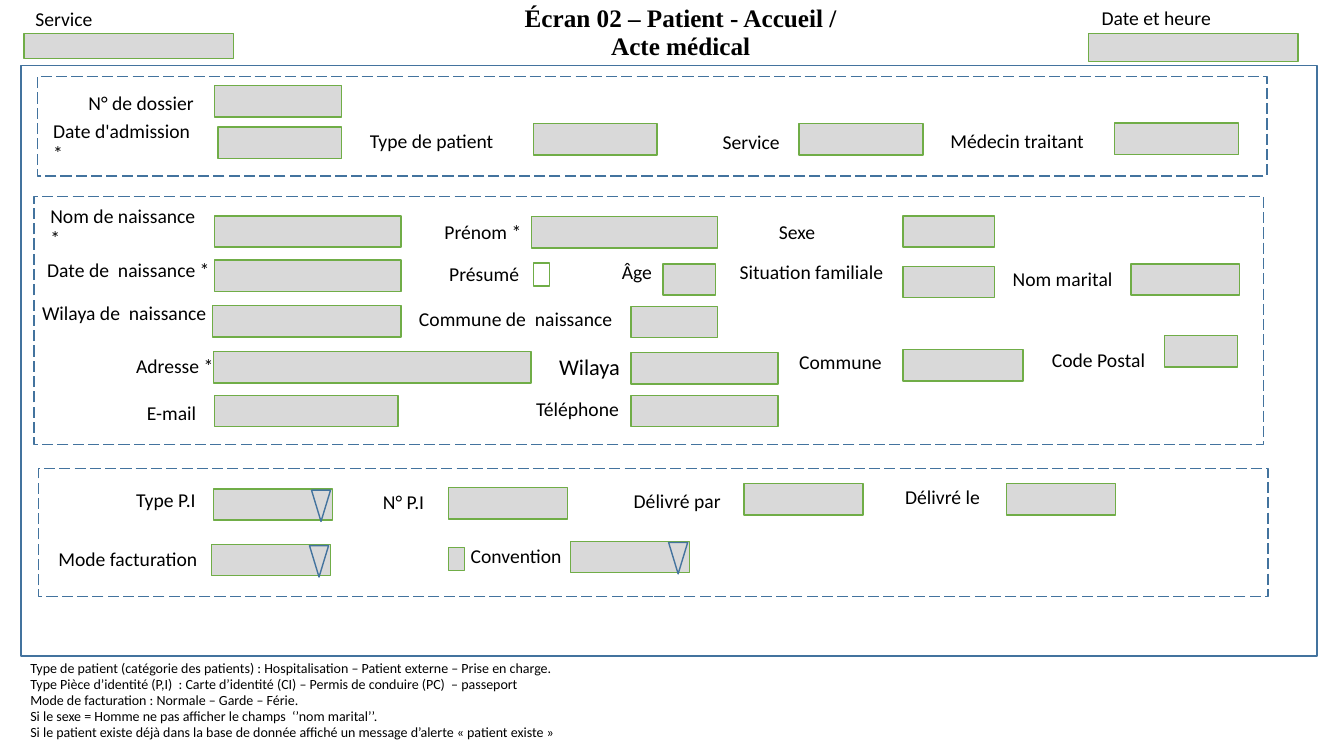
from pptx import Presentation
from pptx.dml.color import RGBColor
from pptx.enum.dml import MSO_LINE
from pptx.enum.shapes import MSO_SHAPE
from pptx.enum.text import MSO_ANCHOR, MSO_AUTO_SIZE, PP_ALIGN
from pptx.oxml.xmlchemy import OxmlElement
from pptx.util import Cm, Pt

COLORS = {"field": "D9D9D9", "field_line": "70AD47", "frame": "43739E", "text": "000000"}
ROW_H = 0.79
LABEL_H = 0.97
CHECK_W, CHECK_H = 0.41, 0.58
ARROW_W = 0.48

ADMISSION = [
    ("N° de dossier", (1.04, 0.2, 3.28), (4.47, 0.23, 3.2)),
    ("Date d'admission *", (0.15, 1.19, 4.29), (4.55, 1.27, 3.12)),
    ("Type de patient", (8.13, 1.17, 4.29), (12.5, 1.19, 3.12)),
    ("Service", (17.02, 1.19, 2.31), (19.2, 1.19, 3.12)),
    ("Médecin traitant", (22.76, 1.17, 4.29), (27.15, 1.17, 3.12)),
]
IDENTITY = [
    ("Nom de naissance *", (0.16, 0.3, 4.5), (4.55, 0.49, 4.7)),
    ("Prénom *", (10.09, 0.43, 2.51), (12.53, 0.51, 4.7)),
    ("Sexe", (18.52, 0.43, 1.63), (21.9, 0.49, 2.31)),
    ("Date de  naissance *", (0.08, 1.4, 4.67), (4.55, 1.6, 4.7)),
    ("Âge", (14.56, 1.45, 1.42), (15.85, 1.7, 1.32)),
    ("Situation familiale", (17.53, 1.45, 4.47), (21.9, 1.76, 2.31)),
    ("Nom marital", (24.41, 1.61, 4.14), (27.64, 1.7, 2.74)),
    ("Wilaya de  naissance", (-0.05, 2.47, 4.95), (4.5, 2.75, 4.75)),
    ("Commune de  naissance", (9.45, 2.62, 5.69), (15.04, 2.77, 2.18)),
    ("Adresse *", (2.32, 3.81, 2.59), (4.52, 3.91, 8)),
    ("Commune", (19.03, 3.71, 3.05), (21.9, 3.86, 3.02)),
    ("Code Postal", (25.4, 3.66, 3), (28.48, 3.51, 1.85)),
    ("E-mail", (2.59, 4.98, 1.88), (4.55, 5.01, 4.62)),
    ("Téléphone", (12.4, 4.9, 2.95), (15.04, 5.01, 3.71)),
]
BILLING = [
    ("Type P.I", (2.21, 0.33, 2.18), (4.41, 0.51, 3)),
    ("N° P.I", (8.43, 0.38, 1.68), (10.33, 0.48, 3)),
    ("Délivré par", (14.75, 0.36, 2.97), (17.78, 0.38, 3)),
    ("Délivré le", (21.59, 0.24, 4.14), (24.4, 0.38, 2.74)),
    ("Mode facturation", (0.25, 1.8, 4.09), (4.36, 1.91, 3)),
    ("Convention", (10.64, 1.73, 2.9), (13.41, 1.83, 3)),
]
DROPDOWNS = ("Type P.I", "Mode facturation", "Convention")
NOTES = [
    "Type de patient (catégorie des patients) : Hospitalisation – Patient externe – Prise en charge.",
    "Type Pièce d’identité (P,I)  : Carte d’identité (CI) – Permis de conduire (PC)  – passeport",
    "Mode de facturation : Normale – Garde – Férie.",
    "Si le sexe = Homme ne pas afficher le champs  ‘’nom marital’’.",
    "Si le patient existe déjà dans la base de donnée affiché un message d’alerte « patient existe »",
]


def within(box, x, y, w, h):
    """Return lengths for a part placed relative to its box."""
    return Cm(box[0] + x), Cm(box[1] + y), Cm(w), Cm(h)


def format_text(tf, size, font="Calibri", bold=False, align=PP_ALIGN.LEFT):
    """Apply font, colour and spacing to all the text of a frame."""
    tf.word_wrap = True
    tf.auto_size = MSO_AUTO_SIZE.NONE
    for p in tf.paragraphs:
        p.alignment = align
        p.line_spacing = 0.95
        p.space_before = Pt(0)
        for r in p.runs:
            r.font.name = font
            r.font.size = Pt(size)
            r.font.bold = bold
            r.font.color.rgb = RGBColor.from_string(COLORS["text"])


def add_outline(slide, place, line, fill=None, shape=MSO_SHAPE.RECTANGLE):
    """Draw a one-point outlined shape, filled if a colour is given."""
    sp = slide.shapes.add_shape(shape, *place)
    sp.shadow.inherit = False
    if fill:
        sp.fill.solid()
        sp.fill.fore_color.rgb = RGBColor.from_string(COLORS[fill])
    else:
        sp.fill.background()
    sp.line.color.rgb = RGBColor.from_string(COLORS[line])
    sp.line.width = Pt(1)
    return sp


def add_label(slide, box, text, x, y, w, size=14):
    """Write a vertically centred field label."""
    tf = slide.shapes.add_textbox(*within(box, x, y, w, LABEL_H)).text_frame
    tf.text = text
    tf.vertical_anchor = MSO_ANCHOR.MIDDLE
    format_text(tf, size)


def add_field(slide, box, x, y, w, h=ROW_H, fill="field"):
    """Draw an input field."""
    add_outline(slide, within(box, x, y, w, h), "field_line", fill)


def add_arrow(slide, box, x, y, w):
    """Draw the drop-down arrow at the right end of a field."""
    place = within(box, x + w - ARROW_W - 0.05, y + 0.03, ARROW_W, ROW_H)
    sp = add_outline(slide, place, "frame", shape=MSO_SHAPE.ISOSCELES_TRIANGLE)
    sp.rotation = 180


def add_group(slide, box, entries):
    """Draw a dashed group with its labelled fields."""
    sp = add_outline(slide, within(box, 0, 0, *box[2:]), "frame")
    sp.line.dash_style = MSO_LINE.LONG_DASH
    for text, label, field in entries:
        add_field(slide, box, *field)
        add_label(slide, box, text, *label)
        if text in DROPDOWNS:
            add_arrow(slide, box, *field)


def add_header(slide, box):
    """Place the title between the service and date fields."""
    title = slide.shapes.title
    title.left, title.top, title.width, title.height = within(box, 11.96, 0.18, 9.17, 1.5)
    tf = title.text_frame
    tf.text = "Écran 02 – Patient - Accueil /\vActe médical"
    tf.vertical_anchor = MSO_ANCHOR.BOTTOM
    format_text(tf, 18, "Times New Roman", True, PP_ALIGN.CENTER)
    add_label(slide, box, "Service", 0.03, 0.02, 3.56)
    add_field(slide, box, 0, 0.84, 5.28, 0.64)
    add_label(slide, box, "Date et heure", 26.9, 0, 3.4)
    add_field(slide, box, 26.82, 0.84, 5.28, 0.71)


def add_identity(slide, box):
    """Draw the patient identity group."""
    add_group(slide, box, IDENTITY)
    add_label(slide, box, "Présumé", 10.21, 1.48, 2.79)
    add_field(slide, box, 12.58, 1.68, CHECK_W, CHECK_H, None)
    add_label(slide, box, "Wilaya", 12.98, 3.84, 2.13, 16)
    add_field(slide, box, 15.04, 3.94, 3.71)


def add_billing(slide, box):
    """Draw the identity document and billing group."""
    add_group(slide, box, BILLING)
    add_field(slide, box, 10.33, 1.98, CHECK_W, CHECK_H)


def add_notes_list(slide, box):
    """Write the rules list in the body placeholder."""
    body = slide.placeholders[1]
    body.left, body.top, body.width, body.height = within(box, 0, 0, *box[2:])
    tf = body.text_frame
    tf.text = "\n".join(NOTES)
    tf.vertical_anchor = MSO_ANCHOR.MIDDLE
    format_text(tf, 10)
    for p in tf.paragraphs:
        pPr = p._p.get_or_add_pPr()
        pPr.set("marL", "0")
        pPr.set("indent", "0")
        pPr.append(OxmlElement("a:buNone"))


def main():
    """Build and save the patient admission screen."""
    prs = Presentation()
    prs.slide_width, prs.slide_height = Cm(33.87), Cm(19.05)
    slide = prs.slides.add_slide(prs.slide_layouts[1])
    add_header(slide, (0.61, 0, 32.1, 1.6))
    add_outline(slide, within((0.53, 1.65), 0, 0, 32.66, 14.88), "frame")
    add_group(slide, (0.94, 1.93, 30.99, 2.51), ADMISSION)
    add_identity(slide, (0.86, 4.95, 30.99, 6.25))
    add_billing(slide, (0.97, 11.81, 30.99, 3.23))
    add_notes_list(slide, (0.51, 16.56, 32.82, 2.21))
    prs.save("out.pptx")


if __name__ == "__main__":
    main()
